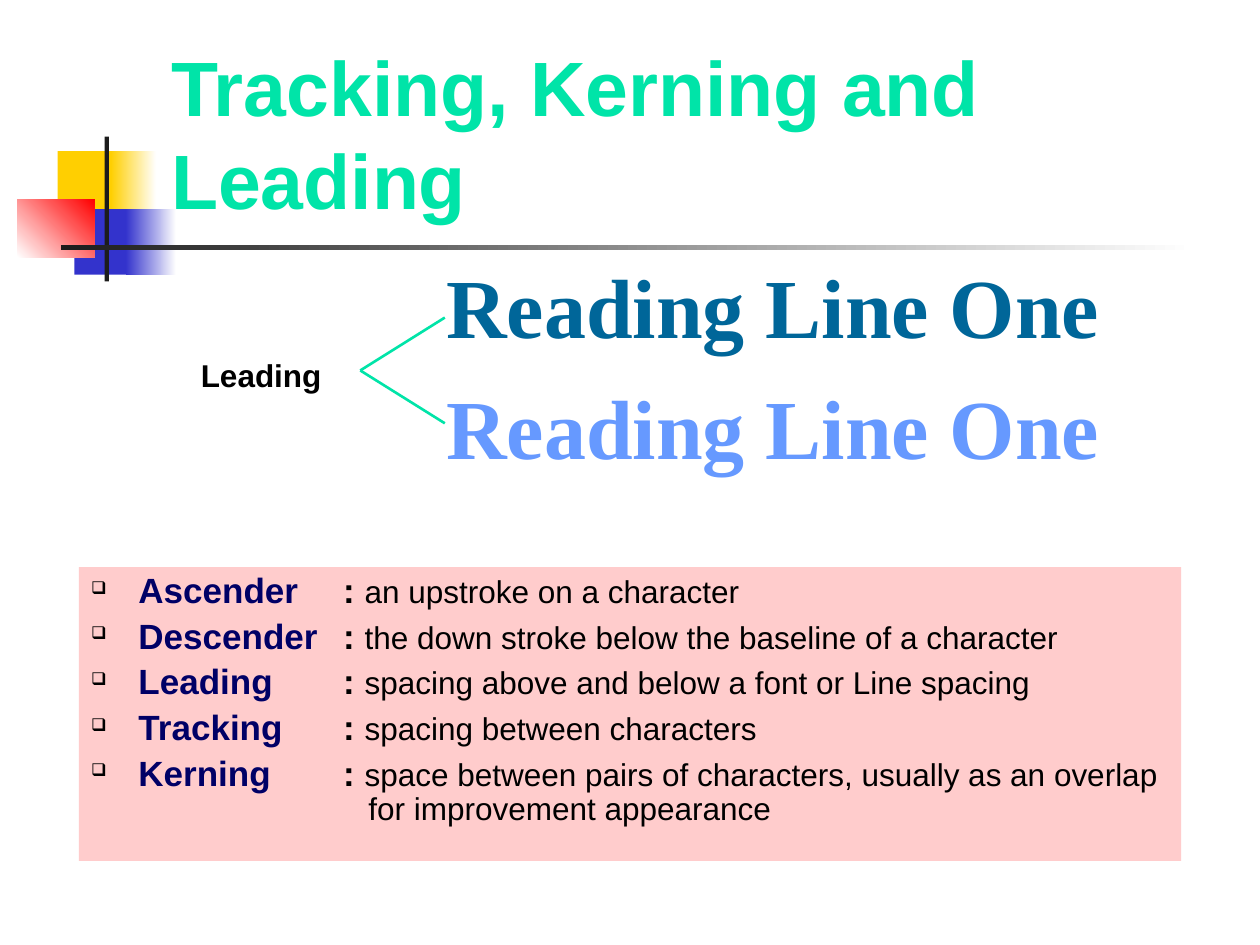
from typing import NamedTuple, Optional

from lxml.etree import SubElement
from pptx import Presentation
from pptx.dml.color import RGBColor
from pptx.enum.shapes import MSO_CONNECTOR as Connector
from pptx.enum.shapes import MSO_SHAPE as Preset
from pptx.enum.text import MSO_ANCHOR as Anchor
from pptx.enum.text import PP_ALIGN as Align
from pptx.oxml.ns import qn
from pptx.util import Pt

MINT = "00E4A8"
BLACK = "000000"
NAVY = "000066"
TAB_STOPS = (144, 158.4)


class Area(NamedTuple):
    left: float
    top: float
    width: float
    height: float


class Block(NamedTuple):
    area: Area
    start: str
    end: Optional[str] = None
    angle: float = 0


class Line(NamedTuple):
    text: str
    color: str


class Caption(NamedTuple):
    area: Area
    lines: tuple[Line, ...]
    size: float
    font: str = "Arial"
    spacing: float = 1.0


class Term(NamedTuple):
    name: str
    meaning: tuple[str, ...]


BLOCKS = (
    Block(Area(33, 86.4, 34.6, 37.4), "FFCF01"),
    Block(Area(63.4, 86.4, 25.9, 37.4), "FFCF01", "FFFFFF"),
    Block(Area(42.5, 119.5, 33.1, 37.4), "3333CC"),
    Block(Area(72, 119.5, 28.8, 37.4), "3333CC", "FFFFFF"),
    Block(Area(10, 113.8, 44, 33.1), "FFFFFF", "FF0000", 45),
    Block(Area(59.8, 78, 2.5, 82.8), "1C1C1C"),
    Block(Area(34.6, 140.2, 648, 2.5), "1C1C1C", "FFFFFF"),
)

CAPTIONS = (
    Caption(Area(90.7, 16.6, 613.4, 115.2),
            (Line("Tracking, Kerning and Leading", MINT),), 44),
    Caption(Area(248, 130.3, 396, 145.4),
            (Line("Reading Line One", "006699"), Line("Reading Line One", "6699FF")),
            48, "Times New Roman", 1.2),
    Caption(Area(107.7, 199.8, 88, 28.8), (Line("Leading", BLACK),), 18),
)

TERMS = (
    Term("Ascender", ("an upstroke on a character",)),
    Term("Descender", ("the down stroke below the baseline of a character",)),
    Term("Leading", ("spacing above and below a font or Line spacing",)),
    Term("Tracking", ("spacing between characters",)),
    Term("Kerning", ("space between pairs of characters, usually as an overlap",
                     "\t\tfor improvement appearance")),
)


def rgb(color: str) -> RGBColor:
    return RGBColor.from_string(color)


def points(area: Area) -> list[Pt]:
    return [Pt(length) for length in area]


def add_span(para, text: str, size: float, color: str,
             bold: bool = True, font: str = "Arial") -> None:
    span = para.add_run()
    span.text = text
    span.font.name = font
    span.font.size = Pt(size)
    span.font.bold = bold
    span.font.color.rgb = rgb(color)


def next_paragraph(frame, index: int):
    return frame.paragraphs[0] if index == 0 else frame.add_paragraph()


def add_block(page, block: Block):
    shape = page.shapes.add_shape(Preset.RECTANGLE, *points(block.area))
    shape.shadow.inherit = False
    shape.line.fill.background()
    if block.end is None:
        shape.fill.solid()
        shape.fill.fore_color.rgb = rgb(block.start)
    else:
        shape.fill.gradient()
        shape.fill.gradient_angle = block.angle
        for stop, color in zip(shape.fill.gradient_stops, (block.start, block.end)):
            stop.color.rgb = rgb(color)
    return shape


def add_caption(page, caption: Caption) -> None:
    frame = page.shapes.add_textbox(*points(caption.area)).text_frame
    frame.word_wrap = True
    frame.vertical_anchor = Anchor.BOTTOM
    for index, line in enumerate(caption.lines):
        para = next_paragraph(frame, index)
        para.line_spacing = caption.spacing
        add_span(para, line.text, caption.size, line.color, font=caption.font)


def add_branch(page, start: tuple[float, float], end: tuple[float, float]) -> None:
    branch = page.shapes.add_connector(
        Connector.STRAIGHT, *(Pt(length) for length in start + end))
    branch.line.color.rgb = rgb(MINT)
    branch.line.width = Pt(1.5)
    SubElement(branch._element.spPr, qn("a:effectLst"))


def set_bullet(para) -> None:
    properties = para._p.get_or_add_pPr()
    properties.set("marL", str(Pt(27)))
    properties.set("indent", str(-Pt(27)))
    bullet_color = SubElement(properties, qn("a:buClr"))
    SubElement(bullet_color, qn("a:srgbClr"), val=BLACK)
    SubElement(properties, qn("a:buSzPct"), val="50000")
    SubElement(properties, qn("a:buChar"), char="❑")
    tabs = SubElement(properties, qn("a:tabLst"))
    for stop in TAB_STOPS:
        SubElement(tabs, qn("a:tab"), pos=str(Pt(stop)), algn="l")


def add_glossary(page, block: Block, terms: tuple[Term, ...]) -> None:
    frame = add_block(page, block).text_frame
    frame.word_wrap = True
    frame.vertical_anchor = Anchor.TOP
    for index, term in enumerate(terms):
        para = next_paragraph(frame, index)
        set_bullet(para)
        para.alignment = Align.LEFT
        para.line_spacing = 0.9
        para.space_before = Pt(4.5 if index else 0)
        add_span(para, f"{term.name}\t", 20, NAVY)
        add_span(para, ": ", 20, BLACK)
        for row, text in enumerate(term.meaning):
            if row:
                para.add_line_break()
            add_span(para, text, 18, BLACK, bold=False)


def main() -> None:
    deck = Presentation()
    deck.slide_width, deck.slide_height = Pt(720), Pt(540)
    page = deck.slides.add_slide(deck.slide_layouts[6])
    for block in BLOCKS:
        add_block(page, block)
    for caption in CAPTIONS:
        add_caption(page, caption)
    for rise in (-30.2, 30.2):
        add_branch(page, (205.9, 211.7), (254.2, 211.7 + rise))
    add_glossary(page, Block(Area(45, 324, 630, 168), "FFCCCC"), TERMS)
    deck.save("out.pptx")


if __name__ == "__main__":
    main()
